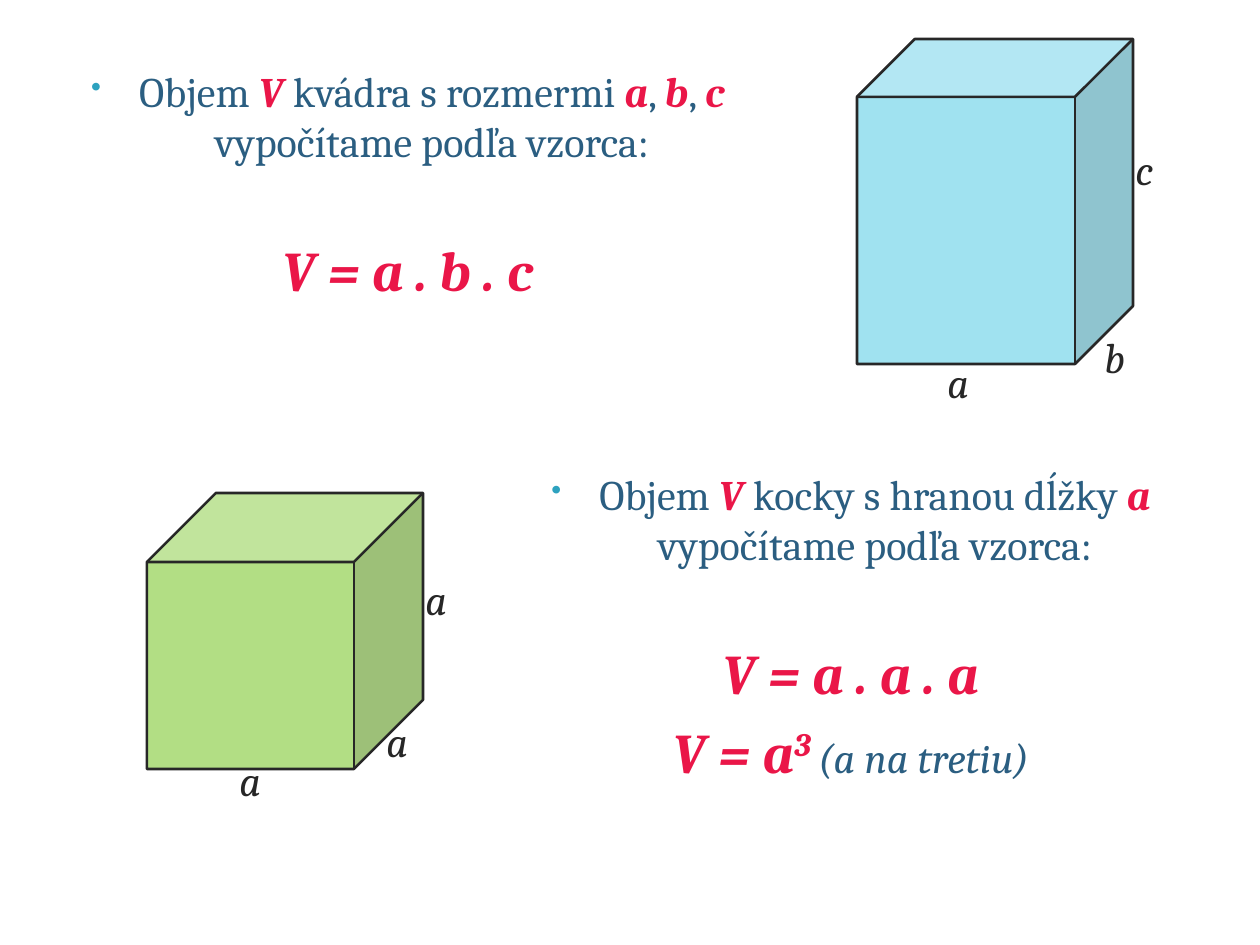
"""Build a slide with the volume formulas of a cuboid and a cube."""
from dataclasses import dataclass
from typing import Any

from lxml import etree
from pptx import Presentation
from pptx.dml.color import RGBColor
from pptx.enum.shapes import MSO_SHAPE
from pptx.enum.text import MSO_AUTO_SIZE, PP_ALIGN
from pptx.oxml.ns import qn
from pptx.util import Emu, Pt

CUBE = MSO_SHAPE.CUBE
CENTER = PP_ALIGN.CENTER
LEFT = PP_ALIGN.LEFT
FIT_SHAPE = MSO_AUTO_SIZE.SHAPE_TO_FIT_TEXT
FIT_NONE = MSO_AUTO_SIZE.NONE

EMU_PER_PX = 914400 / 126
FONT = "Cambria"
BLUE = RGBColor(0x2B, 0x5E, 0x81)
RED = RGBColor(0xEA, 0x16, 0x48)
DARK = RGBColor(0x27, 0x27, 0x27)
AQUA = RGBColor(0x78, 0xD6, 0xEA)
GREEN = RGBColor(0x92, 0xD0, 0x50)
BULLET_COLOR = "2DA2BF"
HANGING = 48
LABEL_SIZE = (49, 63)

PLAIN = {"size": Pt(24), "color": BLUE, "bold": False, "italic": False}
SYMBOL = {"size": Pt(24), "color": RED, "bold": True, "italic": True}
FORMULA = SYMBOL | {"size": Pt(32)}
NOTE = PLAIN | {"italic": True}
LABEL = NOTE | {"color": DARK}


@dataclass(frozen=True)
class Piece:
    text: str
    format: dict[str, Any]
    baseline: int = 0


@dataclass(frozen=True)
class Line:
    pieces: tuple[Piece, ...]
    space_before: float = 0
    bulleted: bool = False


@dataclass(frozen=True)
class Explanation:
    box: tuple[int, int, int, int]
    lines: tuple[Line, ...]


@dataclass(frozen=True)
class Solid:
    box: tuple[int, int, int, int]
    depth: float
    color: RGBColor
    labels: tuple[tuple[str, int, int], ...]


EXPLANATIONS = (
    Explanation((29, 59, 758, 256), (
        Line((
            Piece("Objem ", PLAIN), Piece("V", SYMBOL),
            Piece(" kvádra s rozmermi ", PLAIN), Piece("a", SYMBOL),
            Piece(", ", PLAIN), Piece("b", SYMBOL),
            Piece(", ", PLAIN), Piece("c", SYMBOL),
            Piece(" vypočítame podľa vzorca:", PLAIN),
        ), bulleted=True),
        Line((Piece("V = a . b . c", FORMULA),), 40),
    )),
    Explanation((472, 462, 758, 354), (
        Line((
            Piece("Objem ", PLAIN), Piece("V", SYMBOL),
            Piece(" kocky s hranou dĺžky ", PLAIN), Piece("a ", SYMBOL),
            Piece("vypočítame podľa vzorca:", PLAIN),
        ), bulleted=True),
        Line((Piece("V = a . a . a", FORMULA),), 40),
        Line((
            Piece("V = a", FORMULA), Piece("3 ", FORMULA, 30000),
            Piece("(a na tretiu)", NOTE),
        ), 6.4),
    )),
)
SOLIDS = (
    Solid((857, 39, 276, 325), 0.21, AQUA,
          (("a", 935, 350), ("b", 1092, 325), ("c", 1123, 137))),
    Solid((147, 493, 276, 276), 0.25, GREEN,
          (("a", 227, 748), ("a", 374, 709), ("a", 413, 567))),
)


def px(value: int) -> Emu:
    """Convert pixels to EMU."""
    return Emu(round(value * EMU_PER_PX))


def set_values(target: Any, values: dict[str, Any]) -> None:
    """Set the named attributes of an object."""
    for name, value in values.items():
        setattr(target, name, value)


def add_piece(paragraph: Any, piece: Piece) -> None:
    """Add one formatted run to a paragraph."""
    run = paragraph.add_run()
    run.text = piece.text
    values = dict(piece.format)
    run.font.color.rgb = values.pop("color")
    set_values(run.font, values | {"name": FONT})
    if piece.baseline:
        run.font._element.set("baseline", str(piece.baseline))


def set_bullet(paragraph: Any, bulleted: bool) -> None:
    """Give a paragraph its hanging indent and its bullet, if any."""
    properties = paragraph._p.get_or_add_pPr()
    properties.set("marL", str(px(HANGING)))
    properties.set("indent", str(-px(HANGING)))
    if not bulleted:
        etree.SubElement(properties, qn("a:buNone"))
        return
    color = etree.SubElement(properties, qn("a:buClr"))
    etree.SubElement(color, qn("a:srgbClr"), val=BULLET_COLOR)
    etree.SubElement(properties, qn("a:buSzPct"), val="70000")
    etree.SubElement(properties, qn("a:buChar"), char="•")


def add_explanation(shapes: Any, explanation: Explanation) -> None:
    """Draw a centred rule with its formulas."""
    frame = shapes.add_textbox(*map(px, explanation.box)).text_frame
    set_values(frame, {"word_wrap": True, "auto_size": FIT_NONE})
    for index, line in enumerate(explanation.lines):
        paragraph = frame.add_paragraph() if index else frame.paragraphs[0]
        set_bullet(paragraph, line.bulleted)
        set_values(paragraph, {"alignment": CENTER, "space_before": Pt(line.space_before)})
        for piece in line.pieces:
            add_piece(paragraph, piece)


def add_solid(shapes: Any, solid: Solid) -> None:
    """Draw a translucent solid grouped with its edge labels."""
    group = shapes.add_group_shape()
    cube = group.shapes.add_shape(CUBE, *map(px, solid.box))
    cube.adjustments[0] = solid.depth
    cube.shadow.inherit = False
    cube.fill.solid()
    cube.fill.fore_color.rgb = solid.color
    color = cube._element.spPr.find(qn("a:solidFill")).find(qn("a:srgbClr"))
    etree.SubElement(color, qn("a:alpha"), val="70000")
    cube.line.color.rgb = DARK
    cube.line.width = Pt(1.5)
    for text, left, top in solid.labels:
        frame = group.shapes.add_textbox(*map(px, (left, top, *LABEL_SIZE))).text_frame
        set_values(frame, {"word_wrap": True, "auto_size": FIT_SHAPE})
        frame.paragraphs[0].alignment = LEFT
        add_piece(frame.paragraphs[0], Piece(text, LABEL))


def main() -> None:
    """Build and save the presentation."""
    presentation = Presentation()
    set_values(presentation, {"slide_width": px(1260), "slide_height": px(945)})
    slide = presentation.slides.add_slide(presentation.slide_layouts[6])
    for explanation, solid in zip(EXPLANATIONS, SOLIDS):
        add_explanation(slide.shapes, explanation)
        add_solid(slide.shapes, solid)
    presentation.save("out.pptx")


if __name__ == "__main__":
    main()
